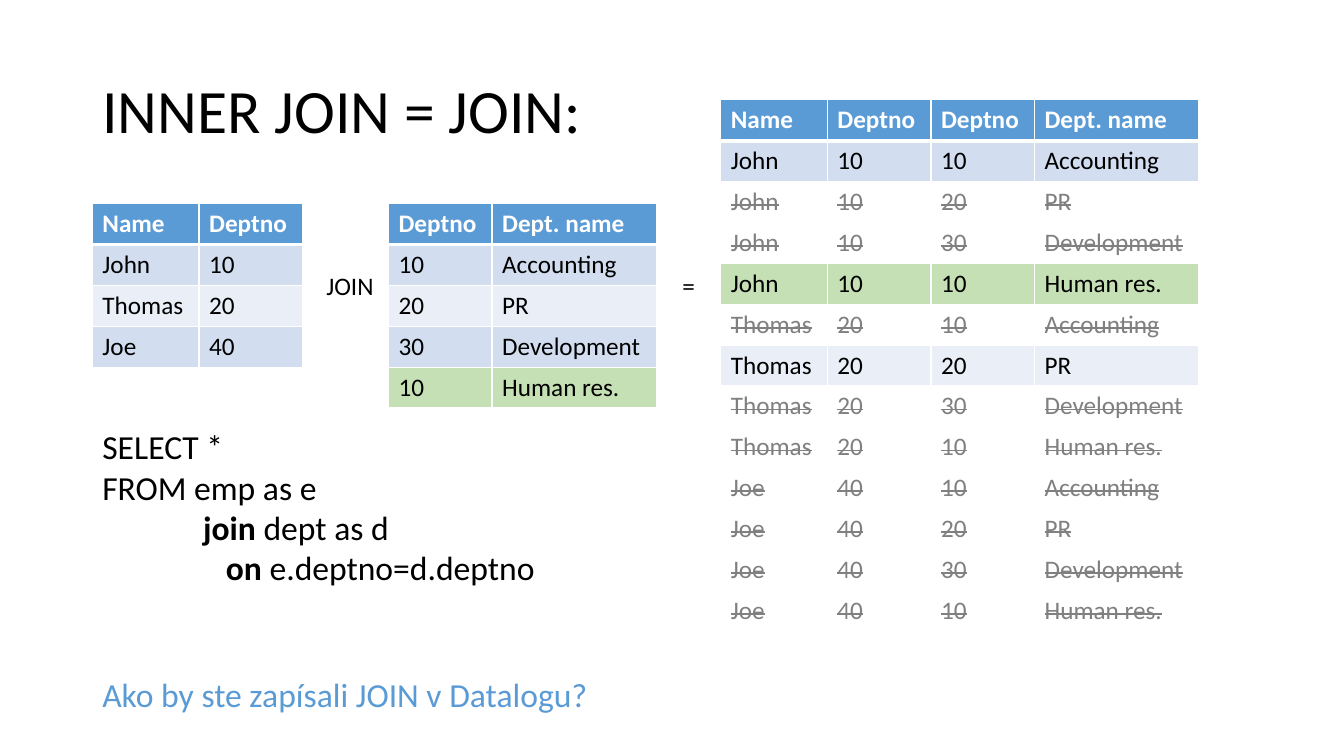
import itertools

import pptx
import pptx.dml.color
import pptx.enum.text
import pptx.oxml
import pptx.oxml.ns
import pptx.util

Pt = pptx.util.Pt
RGBColor = pptx.dml.color.RGBColor

FONT = "Calibri"
BLACK = RGBColor(0x00, 0x00, 0x00)
WHITE = RGBColor(0xFF, 0xFF, 0xFF)
GREY = RGBColor(0x80, 0x80, 0x80)
BLUE = RGBColor(0x5B, 0x9B, 0xD5)
BAND_DARK = RGBColor(0xD2, 0xDE, 0xEF)
BAND_LIGHT = RGBColor(0xEA, 0xEF, 0xF7)
GREEN = RGBColor(0xC5, 0xE0, 0xB4)

ROW_HEIGHT = 29.2
COLUMN_WIDTHS = {"Name": 76.2, "Deptno": 74, "Dept. name": 117.2}

EMPLOYEES = [
    (("John", "10"), BAND_DARK),
    (("Thomas", "20"), BAND_LIGHT),
    (("Joe", "40"), BAND_DARK),
]
DEPARTMENTS = [
    (("10", "Accounting"), BAND_DARK),
    (("20", "PR"), BAND_LIGHT),
    (("30", "Development"), BAND_DARK),
    (("10", "Human res."), GREEN),
]


def add_text(paragraph, text, size=18, color=BLACK, bold=False, strike=False):
    for index, line in enumerate(text.split("\n")):
        if index:
            paragraph.add_line_break()
        run = paragraph.add_run()
        run.text = line
        run.font.name = FONT
        run.font.size = Pt(size)
        run.font.bold = bold
        run.font.color.rgb = color
        if strike:
            run.font._element.set("strike", "sngStrike")


def add_box(slide, left, top, width, height, wrap=False):
    box = slide.shapes.add_textbox(Pt(left), Pt(top), Pt(width), Pt(height))
    box.text_frame.word_wrap = wrap
    return box.text_frame


def add_label(slide, text, left, top, width, height, **text_format):
    frame = add_box(slide, left, top, width, height)
    add_text(frame.paragraphs[0], text, **text_format)


def add_title(slide, text, left, top, width, height):
    frame = add_box(slide, left, top, width, height, wrap=True)
    frame.vertical_anchor = pptx.enum.text.MSO_ANCHOR.MIDDLE
    frame.paragraphs[0].line_spacing = 0.9
    add_text(frame.paragraphs[0], text, size=44)


def add_query(slide, left, top, width, height):
    frame = add_box(slide, left, top, width, height)
    lines = [
        (0, "", "SELECT *\nFROM emp as e"),
        (72, "join ", "dept as d"),
        (88.3, "on ", "e.deptno=d.deptno"),
    ]
    for index, (indent, keyword, rest) in enumerate(lines):
        paragraph = frame.add_paragraph() if index else frame.paragraphs[0]
        paragraph._p.get_or_add_pPr().set("marL", str(int(Pt(indent))))
        if keyword:
            add_text(paragraph, keyword, size=24, bold=True)
        add_text(paragraph, rest, size=24)


def set_borders(cell, top, bottom):
    properties = cell._tc.get_or_add_tcPr()
    widths = {"lnL": 1, "lnR": 1, "lnT": top, "lnB": bottom}
    for index, (side, width) in enumerate(widths.items()):
        border = pptx.oxml.parse_xml(
            f'<a:{side} {pptx.oxml.ns.nsdecls("a")} w="{int(Pt(width))}">'
            f'<a:solidFill><a:srgbClr val="{WHITE}"/></a:solidFill></a:{side}>'
        )
        properties.insert(index, border)


def add_relation(slide, headers, rows, left, top):
    widths = [COLUMN_WIDTHS[header] for header in headers]
    all_rows = [(headers, BLUE)] + rows
    frame = slide.shapes.add_table(
        len(all_rows), len(headers), Pt(left), Pt(top),
        Pt(sum(widths)), Pt(ROW_HEIGHT * len(all_rows)),
    )
    table = frame.table
    table.horz_banding = False
    for column, width in zip(table.columns, widths):
        column.width = Pt(width)
    for row_index, (values, fill) in enumerate(all_rows):
        table.rows[row_index].height = Pt(ROW_HEIGHT)
        is_header = row_index == 0
        is_dropped = fill == WHITE
        color = WHITE if is_header else GREY if is_dropped else BLACK
        for column_index, value in enumerate(values):
            cell = table.cell(row_index, column_index)
            cell.fill.solid()
            cell.fill.fore_color.rgb = fill
            set_borders(cell, 3 if row_index == 1 else 1, 3 if is_header else 1)
            add_text(cell.text_frame.paragraphs[0], value, color=color,
                     bold=is_header, strike=is_dropped)


def join_rows(employees, departments):
    return [
        (employee + department, fill if employee[1] == department[0] else WHITE)
        for (employee, _), (department, fill)
        in itertools.product(employees, departments)
    ]


def add_join_slide(presentation):
    slide = presentation.slides.add_slide(presentation.slide_layouts[6])
    add_title(slide, "INNER JOIN = JOIN:", 66, 28.8, 828, 104.4)
    add_relation(slide, ("Name", "Deptno"), EMPLOYEES, 66, 145.5)
    add_relation(slide, ("Deptno", "Dept. name"), DEPARTMENTS, 277.5, 145.5)
    add_relation(slide, ("Name", "Deptno", "Deptno", "Dept. name"),
                 join_rows(EMPLOYEES, DEPARTMENTS), 514.8, 71.3)
    add_label(slide, "JOIN", 226, 189.4, 49, 29)
    add_label(slide, "=", 480.3, 189.4, 24, 29)
    add_query(slide, 66, 301, 326, 124)
    add_label(slide, "Ako by ste zapísali JOIN v Datalogu?",
              66, 478, 363.6, 36, size=24, color=BLUE)


def main():
    presentation = pptx.Presentation()
    presentation.slide_width = Pt(960)
    presentation.slide_height = Pt(540)
    add_join_slide(presentation)
    presentation.save("out.pptx")


if __name__ == "__main__":
    main()
